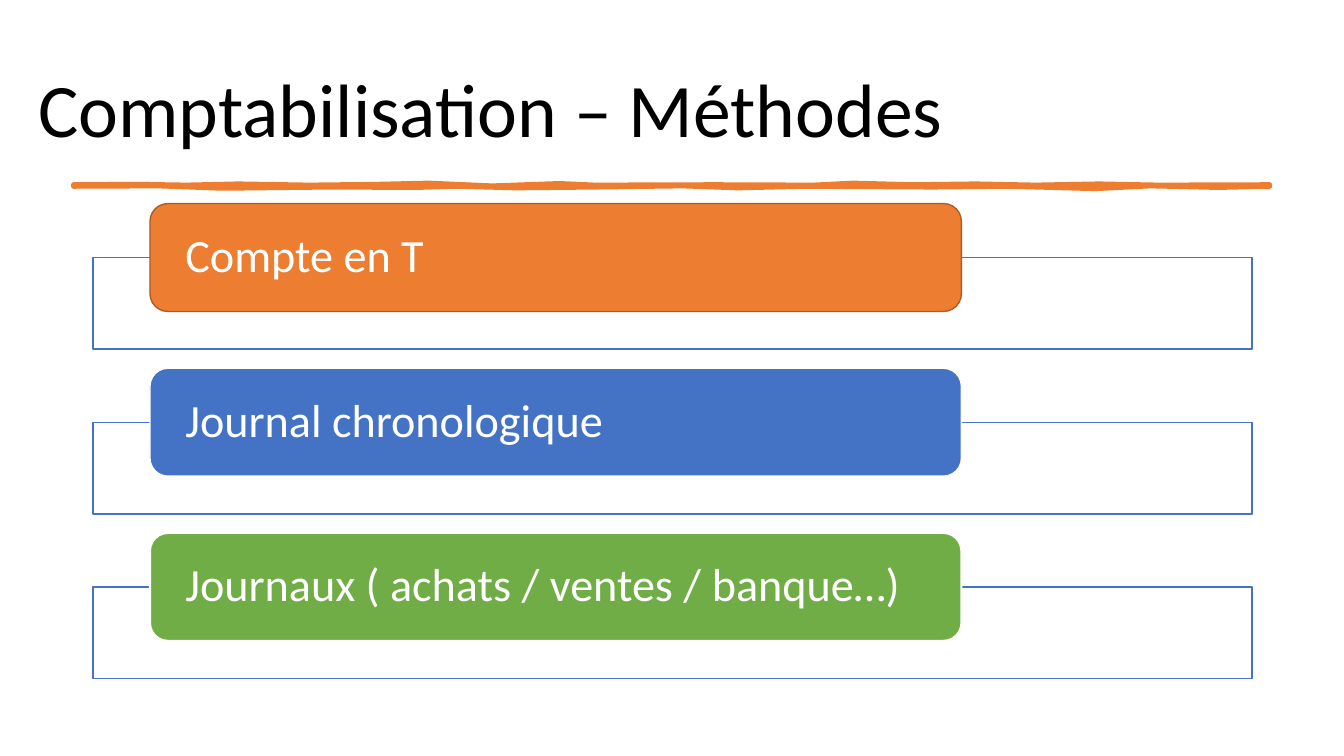
"""Build the slide listing the three bookkeeping methods."""
import pptx
import pptx.dml.color
import pptx.enum.shapes
import pptx.enum.text
import pptx.oxml
import pptx.oxml.ns
import pptx.util

Cm, Pt = pptx.util.Cm, pptx.util.Pt
SHAPES = pptx.enum.shapes.MSO_SHAPE
TITLE = "Comptabilisation – Méthodes"
METHODS = [
    ("Compte en T", "orange", "brown", 1),
    ("Journal chronologique", "blue", "white", 1),
    ("Journaux ( achats / ventes / banque…)", "green", "white", 1.5),
]
COLORS = {
    "black": "000000", "white": "FFFFFF", "orange": "ED7D31",
    "brown": "AF5C24", "blue": "4472C4", "green": "70AD47",
}
FONT = "Calibri"
STROKE_TOP = [
    (1.85, 4.65), (3.5, 4.64), (4.7, 4.66), (6, 4.63), (7.8, 4.66), (9.5, 4.64),
    (10.8, 4.61), (12.4, 4.68), (14.1, 4.62), (15, 4.66), (18, 4.65), (20.5, 4.66),
    (21.5, 4.61), (23, 4.65), (24.6, 4.63), (26.1, 4.66), (27.7, 4.63), (29.2, 4.66),
    (32, 4.65),
]
STROKE_BOTTOM = [
    (32, 4.7), (30.7, 4.73), (29, 4.69), (27.6, 4.76), (25.4, 4.7), (23.5, 4.72),
    (20.3, 4.7), (18.6, 4.74), (17.2, 4.69), (15, 4.72), (13, 4.74), (11.5, 4.7),
    (10.5, 4.73), (8.3, 4.72), (5.6, 4.75), (4, 4.69), (1.85, 4.7),
]
ROW_TOP, ROW_PITCH = 5.13, 4.15
FRAME_LEFT, FRAME_OFFSET, FRAME_WIDTH, FRAME_HEIGHT = 2.34, 1.36, 29.21, 2.31
LABEL_LEFT, LABEL_WIDTH, LABEL_HEIGHT = 3.78, 20.45, 2.72


def color(name):
    return pptx.dml.color.RGBColor.from_string(COLORS[name])


def paint(shape, fill, line, width):
    shape.shadow.inherit = False
    shape.fill.solid()
    shape.fill.fore_color.rgb = color(fill)
    shape.line.color.rgb = color(line)
    shape.line.width = Pt(width)


def write(shape, text, size, tint):
    frame = shape.text_frame
    frame.text = text
    frame.word_wrap = True
    frame.vertical_anchor = pptx.enum.text.MSO_ANCHOR.MIDDLE
    para = frame.paragraphs[0]
    para.alignment = pptx.enum.text.PP_ALIGN.LEFT
    para.line_spacing = 0.9
    font = para.runs[0].font
    font.name, font.size, font.color.rgb = FONT, Pt(size), color(tint)


def add_method(slide, top, text, fill, line, width):
    frame = slide.shapes.add_shape(
        SHAPES.RECTANGLE, Cm(FRAME_LEFT), Cm(top + FRAME_OFFSET),
        Cm(FRAME_WIDTH), Cm(FRAME_HEIGHT))
    paint(frame, "white", "blue", 1)
    tint = frame.fill.fore_color._xFill[0]
    pptx.oxml.ns.qn("a:alpha")
    tint.append(pptx.oxml.parse_xml(
        '<a:alpha xmlns:a="http://schemas.openxmlformats.org/drawingml/2006/main"'
        ' val="90000"/>'))
    label = slide.shapes.add_shape(
        SHAPES.ROUNDED_RECTANGLE, Cm(LABEL_LEFT), Cm(top),
        Cm(LABEL_WIDTH), Cm(LABEL_HEIGHT))
    paint(label, fill, line, width)
    write(label, text, 33, "white")
    box = label.text_frame
    box.margin_left = box.margin_right = Cm(0.76)
    box.margin_top = box.margin_bottom = 0


def main():
    deck = pptx.Presentation()
    deck.slide_width, deck.slide_height = Cm(33.87), Cm(19.05)
    slide = deck.slides.add_slide(deck.slide_layouts[5])
    title = slide.shapes.title
    title.left, title.top, title.width, title.height = Cm(0.71), Cm(1.02), Cm(30.84), Cm(3.68)
    write(title, TITLE, 54, "black")

    outline = [(Cm(x), Cm(y)) for x, y in STROKE_TOP + STROKE_BOTTOM]
    builder = slide.shapes.build_freeform(*outline[0])
    builder.add_line_segments(outline[1:], close=True)
    paint(builder.convert_to_shape(), "orange", "orange", 3.25)

    for row, method in enumerate(METHODS):
        add_method(slide, ROW_TOP + row * ROW_PITCH, *method)
    deck.save("out.pptx")


if __name__ == "__main__":
    main()
